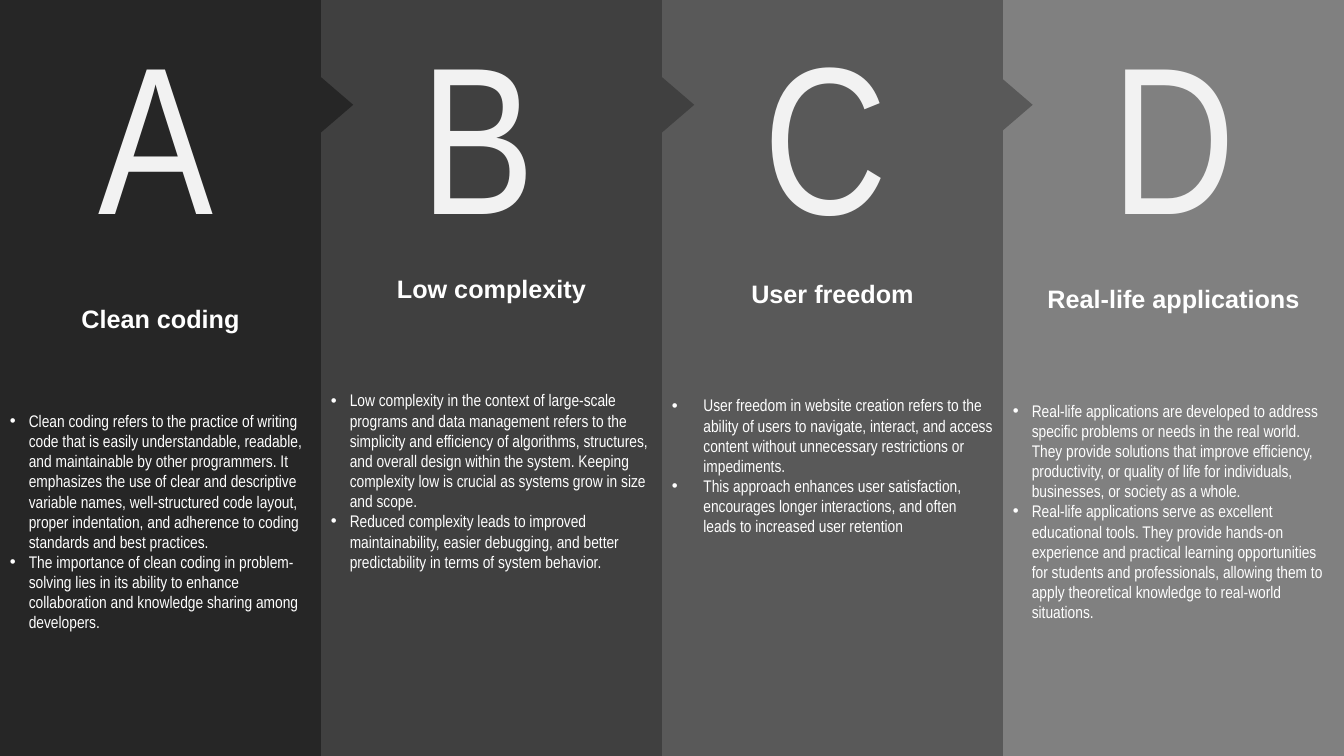
"""Build a slide of four lettered panels, each pointing to the next."""
from dataclasses import dataclass

import pptx
import pptx.dml.color
import pptx.enum.shapes
import pptx.enum.text
import pptx.oxml
import pptx.oxml.ns
import pptx.shapes.autoshape
import pptx.shapes.shapetree
import pptx.text.text
import pptx.util

Inches, Pt = pptx.util.Inches, pptx.util.Pt
RGB = pptx.dml.color.RGBColor
SHAPE = pptx.enum.shapes.MSO_SHAPE
ALIGN = pptx.enum.text.PP_ALIGN
ANCHOR = pptx.enum.text.MSO_ANCHOR

WIDTH, HEIGHT = Inches(13.333), Inches(7.5)
COLS = ROWS = 100
FIRST_PANEL = 23.88
NEXT_PANEL = (COLS - FIRST_PANEL) / 3
LETTER_ROWS = 35.07
PENNANT_COLS, PENNANT_ROWS, PENNANT_CENTER = 2.4, 7.33, 13.87


@dataclass(frozen=True)
class Theme:
    white: str = "FFFFFF"
    letter: str = "F2F2F2"
    heading_font: str = "Arial"
    body_font: str = "Arial Narrow"
    letter_pt: float = 150
    heading_pt: float = 18
    body_pt: float = 12


@dataclass(frozen=True)
class Panel:
    letter: str
    fill: str
    heading: str
    bullets: tuple[str, ...]
    letter_inset: float
    letter_cols: float
    heading_row: float
    gap_pt: float = 62
    indent_pt: float = 13.5
    pennant_lap: float = 0
    pennant: bool = True


THEME = Theme()
PANELS = (
    Panel("A", "262626", "Clean coding", (
        "Clean coding refers to the practice of writing code that is easily understandable, "
        "readable, and maintainable by other programmers. It emphasizes the use of clear and "
        "descriptive variable names, well-structured code layout, proper indentation, and "
        "adherence to coding standards and best practices.",
        "The importance of clean coding in problem-solving lies in its ability to enhance "
        "collaboration and knowledge sharing among developers.",
    ), 6.6, 11.18, 40.13, gap_pt=55),
    Panel("B", "404040", "Low complexity", (
        "Low complexity in the context of large-scale programs and data management refers to "
        "the simplicity and efficiency of algorithms, structures, and overall design within "
        "the system. Keeping complexity low is crucial as systems grow in size and scope.",
        "Reduced complexity leads to improved maintainability, easier debugging, and better "
        "predictability in terms of system behavior.",
    ), 6.65, 11.18, 36.13),
    Panel("C", "595959", "User freedom", (
        "User freedom in website creation refers to the ability of users to navigate, "
        "interact, and access content without unnecessary restrictions or impediments.",
        "This approach enhances user satisfaction, encourages longer interactions, and often "
        "leads to increased user retention",
    ), 6.85, 10.28, 36.8, indent_pt=22.5, pennant_lap=0.19),
    Panel("D", "808080", "Real-life applications", (
        "Real-life applications are developed to address specific problems or needs in the "
        "real world. They provide solutions that improve efficiency, productivity, or quality "
        "of life for individuals, businesses, or society as a whole.",
        "Real-life applications serve as excellent educational tools. They provide hands-on "
        "experience and practical learning opportunities for students and professionals, "
        "allowing them to apply theoretical knowledge to real-world situations.",
    ), 7.35, 11.25, 37.47, pennant=False),
)


def across(cols: float) -> int:
    """Return the length of a number of grid columns."""
    return round(WIDTH * cols / COLS)


def down(rows: float) -> int:
    """Return the length of a number of grid rows."""
    return round(HEIGHT * rows / ROWS)


def add_run(p: pptx.text.text._Paragraph, text: str, font: str, size: float,
            color: str, bold: bool = False) -> None:
    """Append one formatted run to a paragraph."""
    r = p.add_run()
    r.text = text
    r.font.name, r.font.size, r.font.bold = font, Pt(size), bold
    r.font.color.rgb = RGB.from_string(color)


def add_solid(shapes: pptx.shapes.shapetree.GroupShapes, kind: SHAPE, x: int, y: int,
              w: int, h: int, fill: str) -> pptx.shapes.autoshape.Shape:
    """Add a flat shape without outline or shadow."""
    sp = shapes.add_shape(kind, x, y, w, h)
    sp.shadow.inherit = False
    sp.fill.solid()
    sp.fill.fore_color.rgb = RGB.from_string(fill)
    sp.line.fill.background()
    return sp


def set_bullet(p: pptx.text.text._Paragraph, indent: int) -> None:
    """Give a paragraph a round bullet with a hanging indent."""
    pPr = p._p.get_or_add_pPr()
    pPr.set("marL", str(indent))
    pPr.set("indent", str(-indent))
    ns = pptx.oxml.ns.nsdecls("a")
    pPr.append(pptx.oxml.parse_xml(f'<a:buFont {ns} typeface="Arial"/>'))
    pPr.append(pptx.oxml.parse_xml(f'<a:buChar {ns} char="•"/>'))


def write_panel(sp: pptx.shapes.autoshape.Shape, panel: Panel) -> None:
    """Write the heading and the bullets of a panel."""
    tf = sp.text_frame
    tf.word_wrap = True
    tf.vertical_anchor = ANCHOR.TOP
    tf.margin_top = down(panel.heading_row)
    p = tf.paragraphs[0]
    p.alignment = ALIGN.CENTER
    p.space_after = Pt(panel.gap_pt)
    add_run(p, panel.heading, THEME.heading_font, THEME.heading_pt, THEME.white, bold=True)
    for bullet in panel.bullets:
        p = tf.add_paragraph()
        p.alignment = ALIGN.LEFT
        set_bullet(p, Pt(panel.indent_pt))
        add_run(p, bullet, THEME.body_font, THEME.body_pt, THEME.white)


def draw_panel(shapes: pptx.shapes.shapetree.GroupShapes, panel: Panel,
               left: float, cols: float) -> None:
    """Draw a panel with its text, its letter and its pennant."""
    sp = add_solid(shapes, SHAPE.RECTANGLE, across(left), 0, across(cols), HEIGHT, panel.fill)
    write_panel(sp, panel)

    tf = shapes.add_textbox(across(left + panel.letter_inset), 0,
                            across(panel.letter_cols), down(LETTER_ROWS)).text_frame
    tf.word_wrap = False
    tf.auto_size = pptx.enum.text.MSO_AUTO_SIZE.SHAPE_TO_FIT_TEXT
    add_run(tf.paragraphs[0], panel.letter, THEME.body_font, THEME.letter_pt, THEME.letter)

    if panel.pennant:
        w, h = down(PENNANT_ROWS), across(PENNANT_COLS)
        center = across(left + cols - panel.pennant_lap + PENNANT_COLS / 2)
        sp = add_solid(shapes, SHAPE.ISOSCELES_TRIANGLE, center - w // 2,
                       down(PENNANT_CENTER) - h // 2, w, h, panel.fill)
        sp.rotation = 90


def main() -> None:
    """Build and save the slide."""
    prs = pptx.Presentation()
    prs.slide_width, prs.slide_height = WIDTH, HEIGHT
    s = prs.slides.add_slide(prs.slide_layouts[6])
    for i, panel in reversed(list(enumerate(PANELS))):
        left = FIRST_PANEL + (i - 1) * NEXT_PANEL if i else 0
        draw_panel(s.shapes.add_group_shape().shapes, panel, left,
                   NEXT_PANEL if i else FIRST_PANEL)
    prs.save("out.pptx")


if __name__ == "__main__":
    main()
